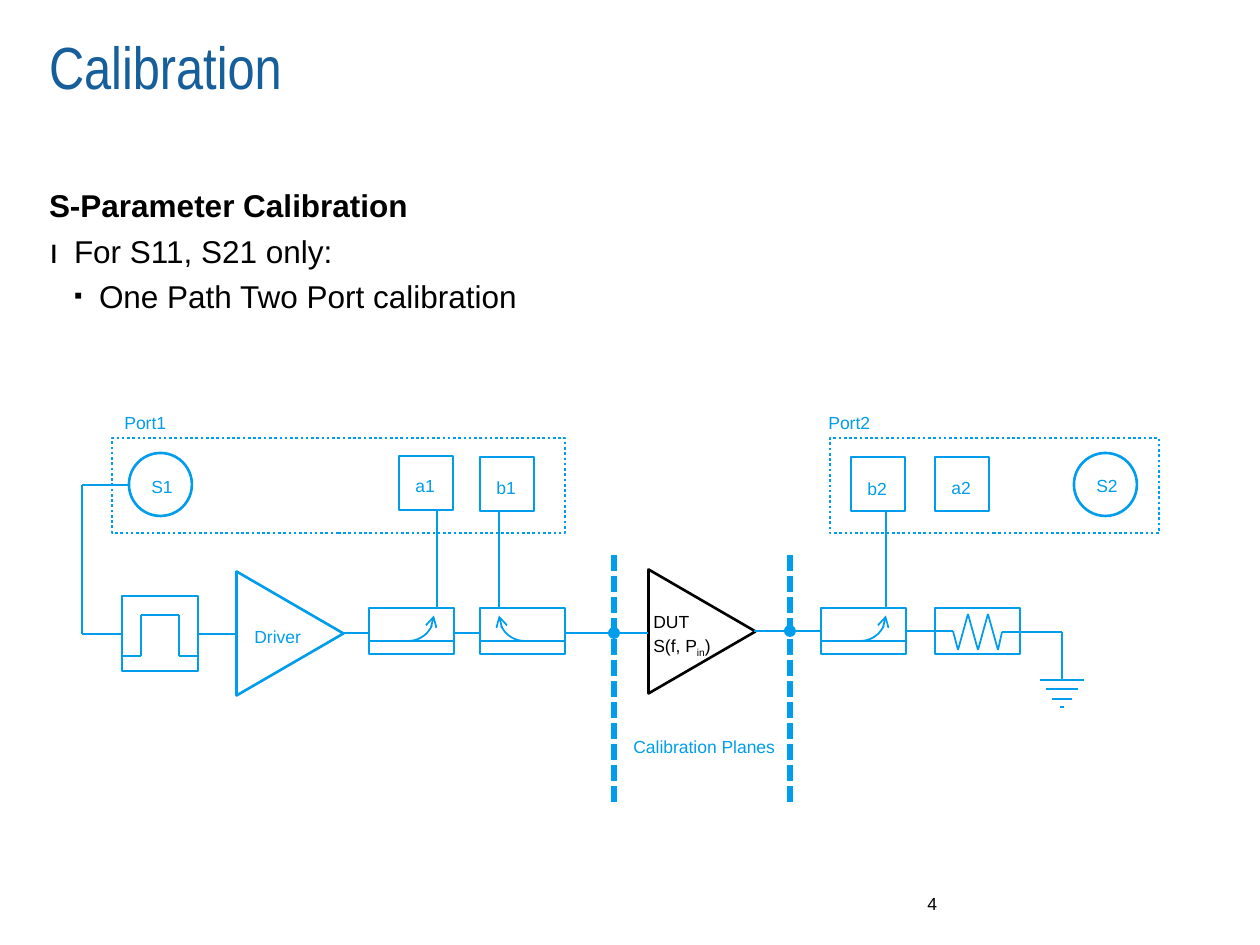
"""Build the S-parameter calibration slide."""
from itertools import pairwise

from lxml import etree
from pptx import Presentation
from pptx import util as u
from pptx.dml import color
from pptx.enum import dml, shapes, text
from pptx.oxml import ns

COLORS = {"blue": "009DEC", "title": "165F9A", "black": "000000", "white": "FFFFFF"}
SCALE = 914400 / 126
KINDS = shapes.MSO_SHAPE
DASH = dml.MSO_LINE


def px(n):
    """Turn pixels into EMU."""
    return u.Emu(round(n * SCALE))


def rgb(name):
    """Look up a named colour."""
    return color.RGBColor.from_string(COLORS[name])


def sub(node, tag, **attrs):
    """Add a drawing element with its attributes."""
    return etree.SubElement(node, ns.qn(tag), attrs)


def bullet(para, mark, size, left):
    """Give a paragraph a hanging bullet."""
    props = para._p.get_or_add_pPr()
    props.set("marL", str(px(left)))
    props.set("indent", str(-px(25)))
    sub(props, "a:buSzPct", val=str(size * 1000))
    sub(props, "a:buFont", typeface="Arial")
    sub(props, "a:buChar", char=mark)


def write(slide, words, box, size=10, font="Arial", ink="blue", bold=False,
          inset=True, wrap=True, anchor="TOP", align="LEFT", space=1.12,
          after=0, before=0, marks=()):
    """Write text; a newline breaks a line, bars enclose a subscript."""
    frame = slide.shapes.add_textbox(*map(px, box)).text_frame
    frame.word_wrap = wrap
    frame.vertical_anchor = text.MSO_ANCHOR[anchor]
    if not inset:
        frame.margin_left = frame.margin_right = 0
        frame.margin_top = frame.margin_bottom = 0
    paras = [words] if isinstance(words, str) else words
    for i, body in enumerate(paras):
        para = frame.add_paragraph() if i else frame.paragraphs[0]
        para.alignment = text.PP_ALIGN[align]
        para.line_spacing = space
        para.space_after = u.Pt(after)
        para.space_before = u.Pt(before)
        if marks:
            bullet(para, *marks[i])
        for row, line in enumerate(body.split("\n")):
            if row:
                para.add_line_break()
            for k, part in enumerate(line.split("|")):
                run = para.add_run()
                run.text = part
                run.font.size = u.Pt(size)
                run.font.name = font
                run.font.bold = bold
                run.font.color.rgb = rgb(ink)
                if k % 2:
                    run.font._element.set("baseline", "-25000")


def shape(slide, kind, box, fill=None, line="blue", width=1.5, dash=None, turn=0):
    """Draw a preset shape."""
    item = slide.shapes.add_shape(kind, *map(px, box))
    item.shadow.inherit = False
    item.rotation = turn
    if fill:
        item.fill.solid()
        item.fill.fore_color.rgb = rgb(fill)
    else:
        item.fill.background()
    if line:
        item.line.color.rgb = rgb(line)
        item.line.width = u.Pt(width)
        item.line.dash_style = dash
    else:
        item.line.fill.background()
    return item


def wire(slide, *points, width=1.5, dash=None):
    """Join points with straight lines."""
    for start, end in pairwise(points):
        item = slide.shapes.add_connector(
            shapes.MSO_CONNECTOR.STRAIGHT, *map(px, start + end))
        item.line.color.rgb = rgb("blue")
        item.line.width = u.Pt(width)
        item.line.dash_style = dash
        sub(item._element.spPr, "a:effectLst")


def meter(slide, name, x, y, dy):
    """Draw a receiver box with its name."""
    shape(slide, KINDS.RECTANGLE, (x, y, 54, 54))
    write(slide, name, (x + 4, y + dy, 50, 35), after=6)


def source(slide, name, x, dy):
    """Draw a signal source with its name."""
    shape(slide, KINDS.OVAL, (x, 453, 63, 63))
    write(slide, name, (x + 10, 453 + dy, 50, 35), after=6)


def port(slide, name, x, width, left):
    """Draw a dotted port frame with its name."""
    shape(slide, KINDS.RECTANGLE, (x, 438, width, 95), dash=DASH.ROUND_DOT)
    write(slide, name, (left, 403, 79, 35), after=6)


def amp(slide, x, y, line):
    """Draw an amplifier that points right."""
    shape(slide, KINDS.ISOSCELES_TRIANGLE, (x, y, 124, 107),
          fill="white", line=line, turn=90)


def tap(slide, x, arc, pin, top, flip=False):
    """Draw a coupler with its arrow and the wire to its receiver."""
    shape(slide, KINDS.RECTANGLE, (x, 608, 85, 46))
    wire(slide, (x, 641), (x + 85, 641), width=1)
    wire(slide, (pin, top), (pin, 608))
    bend = shape(slide, KINDS.ARC, (arc, 590, 51, 51), width=1)
    frame = bend._element.spPr.xfrm
    frame.set("flipV", "1")
    if flip:
        frame.set("flipH", "1")
    sub(bend.line._get_or_add_ln(), "a:tailEnd", type="arrow")


def main():
    """Build and save the slide."""
    deck = Presentation()
    deck.slide_width, deck.slide_height = px(1260), px(945)
    slide = deck.slides.add_slide(deck.slide_layouts[6])

    write(slide, "Calibration", (49, 30, 1142, 149), size=34,
          font="Arial Narrow", ink="title", inset=False, space=1)
    write(slide, ["For S11, S21 only:", "One Path Two Port calibration"],
          (49, 228, 1142, 605), size=18, ink="black", inset=False, before=1,
          marks=[("\u0131", 110, 25), ("\u25aa", 75, 50)])
    write(slide, "S-Parameter Calibration", (49, 189, 1142, 35), size=18,
          ink="black", bold=True, inset=False, anchor="BOTTOM", space=1)
    write(slide, "4", (868, 893, 69, 25), ink="black", inset=False,
          align="RIGHT", space=1)

    port(slide, "Port1", 112, 453, 112)
    port(slide, "Port2", 830, 329, 816)
    source(slide, "S1", 129, 14)
    source(slide, "S2", 1074, 13)
    for name, x, y, dy in (("a1", 399, 456, 10), ("b1", 480, 457, 11),
                           ("b2", 851, 457, 12), ("a2", 935, 457, 11)):
        meter(slide, name, x, y, dy)

    amp(slide, 640, 578, "black")
    write(slide, "DUT\nS(f, P|in|)", (641, 602, 102, 60), ink="black", after=6)
    amp(slide, 228, 580, "blue")
    write(slide, "Driver", (242, 617, 80, 30), after=6)

    tap(slide, 369, 383, 437, 511)
    tap(slide, 480, 499, 499, 511, flip=True)
    tap(slide, 821, 835, 886, 511)

    shape(slide, KINDS.RECTANGLE, (122, 596, 76, 75))
    wire(slide, (122, 656), (141, 656), (141, 615), (179, 615),
         (179, 656), (198, 656))
    wire(slide, (129, 485), (82, 485), (82, 634), (122, 634))
    for start, end, y in ((198, 238, 634), (343, 369, 633), (454, 480, 633),
                          (565, 648, 633), (754, 821, 631), (905, 935, 631)):
        wire(slide, (start, y), (end, y))

    for x, y in ((614, 633), (790, 631)):
        wire(slide, (x, 555), (x, 805), width=3, dash=DASH.SQUARE_DOT)
        shape(slide, KINDS.OVAL, (x - 6, y - 6, 12, 12), fill="blue", line=None)
    write(slide, "Calibration Planes", (621, 727, 175, 40), after=6)

    shape(slide, KINDS.RECTANGLE, (935, 608, 85, 46))
    peaks = [(958 + 10 * i, 614 if i % 2 else 650) for i in range(5)]
    wire(slide, (934, 631), (953, 631), *peaks, (1002, 632), (1019, 632), width=1)
    wire(slide, (1019, 632), (1062, 632), (1062, 680))
    for half, y, width in ((22, 680, 1.5), (16, 689, 1), (10, 699, 1), (2, 707, 1)):
        wire(slide, (1062 - half, y), (1062 + half, y), width=width)

    deck.save("out.pptx")


main()
